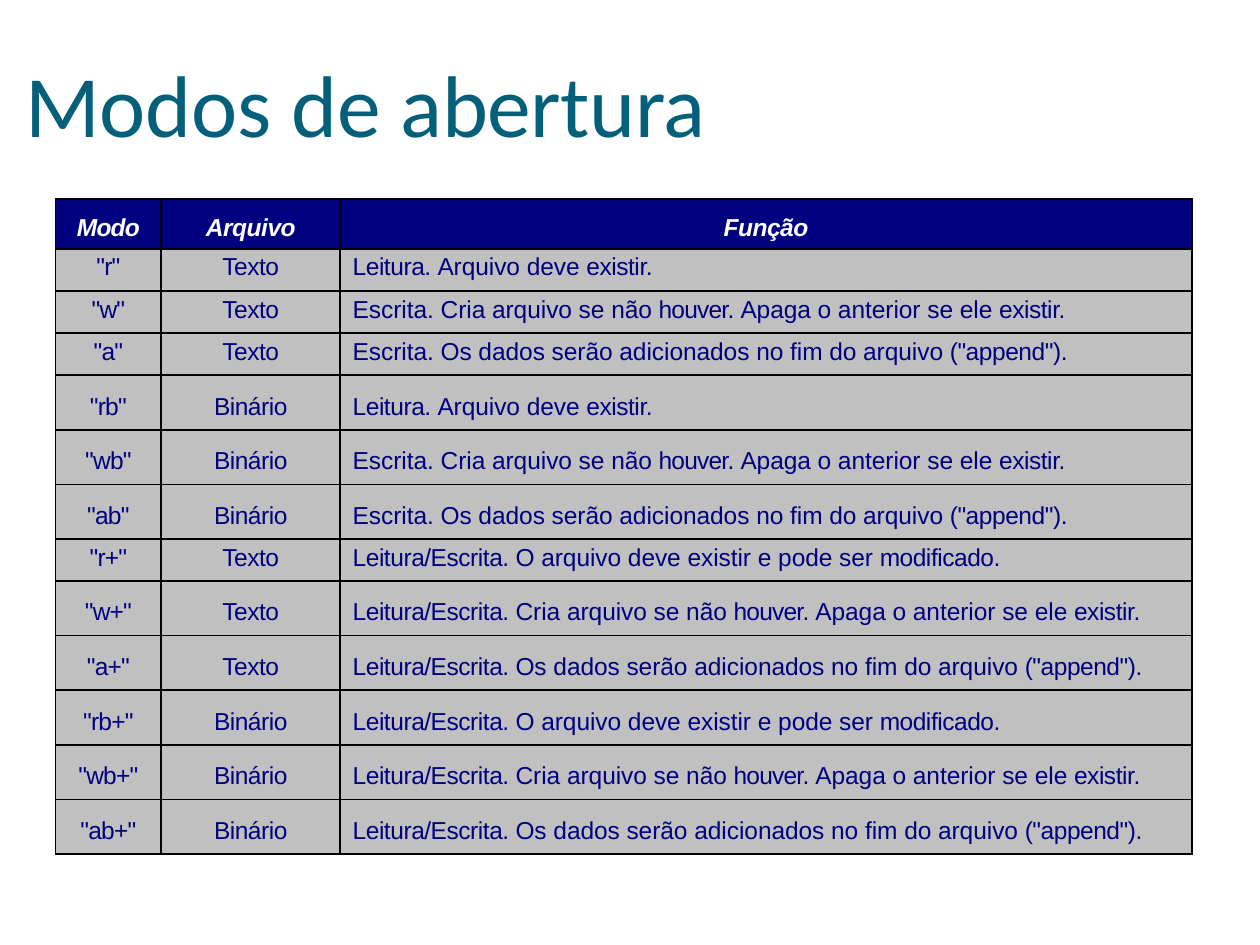
"""Build a slide with a table of the file opening modes."""
import pptx
import pptx.dml.color
import pptx.enum.text
import pptx.oxml
import pptx.oxml.ns
import pptx.util
from pptx.util import Inches

TEAL = pptx.dml.color.RGBColor(0x04, 0x60, 0x7A)
NAVY = pptx.dml.color.RGBColor(0x00, 0x00, 0x80)
SILVER = pptx.dml.color.RGBColor(0xC0, 0xC0, 0xC0)
WHITE = pptx.dml.color.RGBColor(0xFF, 0xFF, 0xFF)
CENTER = pptx.enum.text.PP_ALIGN.CENTER
LEFT = pptx.enum.text.PP_ALIGN.LEFT

NORMAL, TIGHT, TIGHTER = 0, -10, -20

READ = [("Leitura. ", TIGHT)]
WRITE = [("Escrita. ", NORMAL)]
BOTH = [("Leitura/Escrita. ", TIGHT)]
EXISTING = [("Arquivo deve ", NORMAL), ("existir.", TIGHT)]
MODIFY = [("O arquivo deve existir e pode ser ", NORMAL), ("modificado.", TIGHT)]
CREATE = [("Cria arquivo se não ", NORMAL), ("houver. ", TIGHTER),
          ("Apaga o anterior se ele ", NORMAL), ("existir.", TIGHT)]
APPEND = [("Os dados serão adicionados no fim do arquivo ", NORMAL),
          ('("append").', TIGHT)]

MODES = [
    ("r", "Texto", READ + EXISTING),
    ("w", "Texto", WRITE + CREATE),
    ("a", "Texto", WRITE + APPEND),
    ("rb", "Binário", READ + EXISTING),
    ("wb", "Binário", WRITE + CREATE),
    ("ab", "Binário", WRITE + APPEND),
    ("r+", "Texto", BOTH + MODIFY),
    ("w+", "Texto", BOTH + CREATE),
    ("a+", "Texto", BOTH + APPEND),
    ("rb+", "Binário", BOTH + MODIFY),
    ("wb+", "Binário", BOTH + CREATE),
    ("ab+", "Binário", BOTH + APPEND),
]
SHORT_MODES = ("r", "w", "a", "r+")
COLUMN_WIDTHS = (0.42, 0.71, 3.38)
TABLE_HEIGHT = 2.6


def add_runs(paragraph, pieces, font_name, size, color):
    for text, spacing in pieces:
        run = paragraph.add_run()
        run.text = text
        run.font.name = font_name
        run.font.size = pptx.util.Pt(size)
        run.font.color.rgb = color
        run.font._element.set("spc", str(spacing))


def add_borders(cell):
    properties = cell._tc.get_or_add_tcPr()
    for position, side in enumerate(("lnL", "lnR", "lnT", "lnB")):
        line = pptx.oxml.parse_xml(
            f'<a:{side} {pptx.oxml.ns.nsdecls("a")} w="{pptx.util.Pt(0.5)}">'
            f'<a:solidFill><a:srgbClr val="000000"/></a:solidFill></a:{side}>')
        properties.insert(position, line)


presentation = pptx.Presentation()
presentation.slide_width = Inches(5)
presentation.slide_height = Inches(3.75)
slide = presentation.slides.add_slide(presentation.slide_layouts[5])

title = slide.shapes.title
title.left, title.top = Inches(0.09), Inches(0.19)
title.width, title.height = Inches(2.74), Inches(0.44)
frame = title.text_frame
frame.margin_left, frame.margin_top = Inches(0.01), Inches(0.01)
frame.margin_right = frame.margin_bottom = 0
frame.vertical_anchor = pptx.enum.text.MSO_ANCHOR.TOP
frame.auto_size = pptx.enum.text.MSO_AUTO_SIZE.NONE
frame.paragraphs[0].alignment = LEFT
add_runs(frame.paragraphs[0], [("Modos de ", NORMAL), ("abertura", TIGHT)],
         "Calibri", 25, TEAL)

rows = [([("Modo", TIGHTER)], [("Arquivo", TIGHT)], [("Função", TIGHT)])]
row_heights, top_margins = [0.2], [0.06]
for mode, file_type, function in MODES:
    rows.append(([(f'"{mode}"', TIGHTER)], [(file_type, TIGHT)], function))
    row_heights.append(0.17 if mode in SHORT_MODES else 0.22)
    top_margins.append(0.02 if mode in SHORT_MODES else 0.07)

table = slide.shapes.add_table(
    len(rows), len(COLUMN_WIDTHS), Inches(0.22), Inches(0.79),
    Inches(sum(COLUMN_WIDTHS)), Inches(TABLE_HEIGHT)).table
for column, width in zip(table.columns, COLUMN_WIDTHS):
    column.width = Inches(width)

height_scale = TABLE_HEIGHT / sum(row_heights)
for row_index, row in enumerate(rows):
    table.rows[row_index].height = Inches(row_heights[row_index] * height_scale)
    is_header = row_index == 0
    for column_index, pieces in enumerate(row):
        cell = table.cell(row_index, column_index)
        is_function = column_index == 2 and not is_header
        cell.margin_left = Inches(0.05) if is_function else 0
        cell.margin_right = cell.margin_bottom = 0
        cell.margin_top = Inches(top_margins[row_index])
        cell.fill.solid()
        cell.fill.fore_color.rgb = NAVY if is_header else SILVER
        add_borders(cell)
        paragraph = cell.text_frame.paragraphs[0]
        paragraph.alignment = LEFT if is_function else CENTER
        add_runs(paragraph, pieces, "Arial", 7, WHITE if is_header else NAVY)
        for run in paragraph.runs:
            run.font.bold = run.font.italic = is_header

presentation.save("out.pptx")
